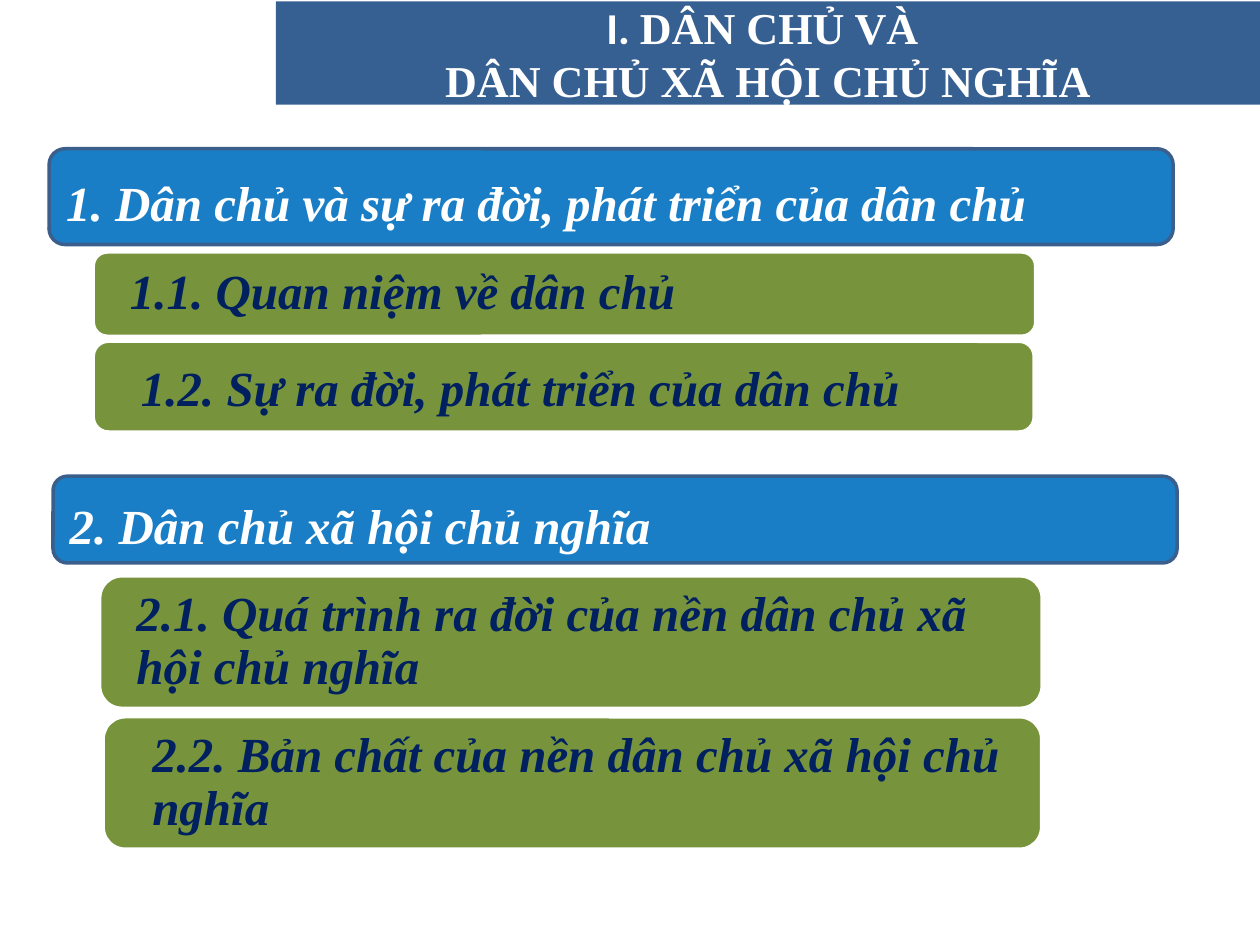
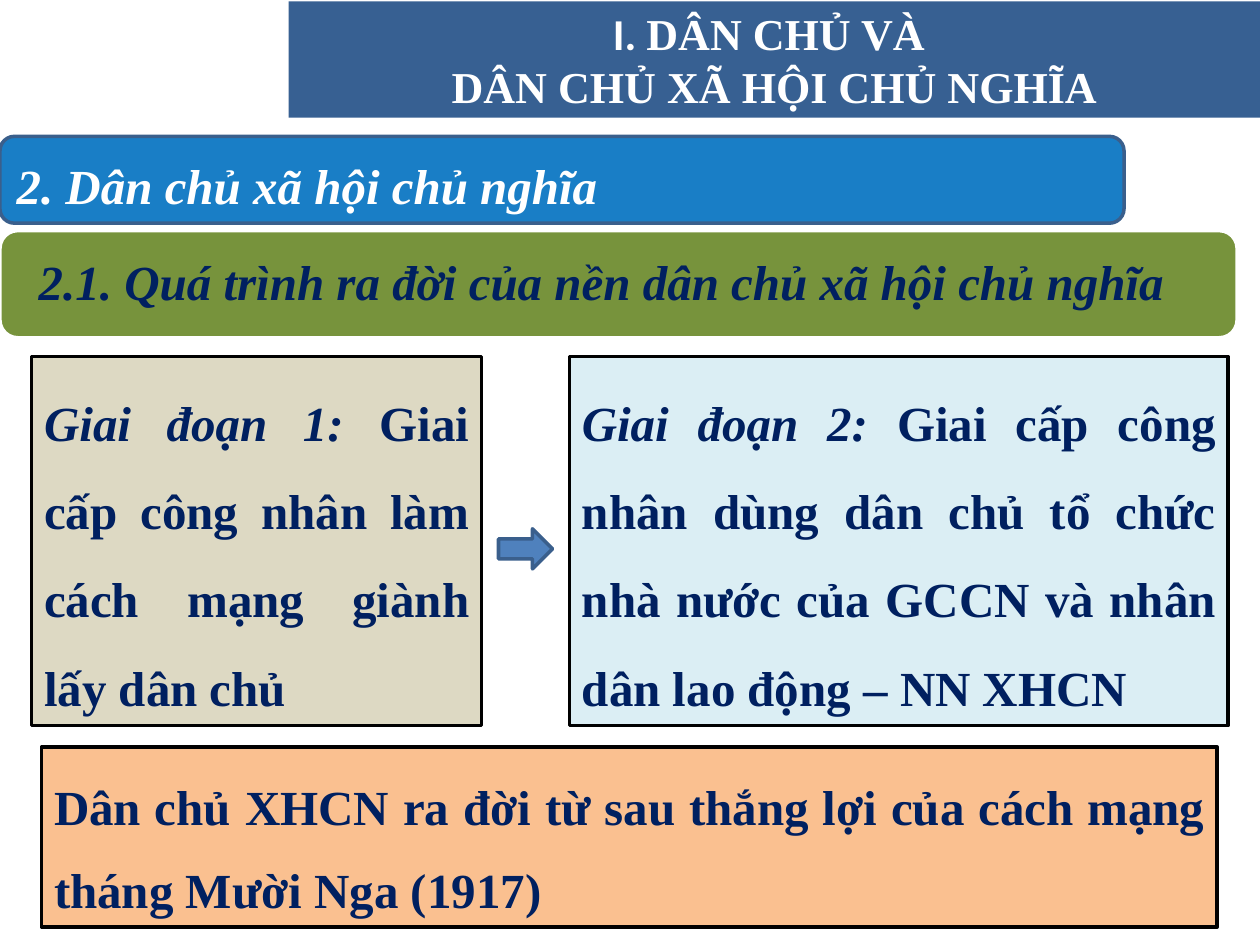
import pptx
import pptx.dml.color
import pptx.enum.shapes
import pptx.enum.text
import pptx.oxml
import pptx.oxml.ns
import pptx.util

Cm = pptx.util.Cm
Pt = pptx.util.Pt
Kind = pptx.enum.shapes.MSO_SHAPE
Align = pptx.enum.text.PP_ALIGN
Anchor = pptx.enum.text.MSO_ANCHOR

# Shared look
SERIF = "Times New Roman"
SANS = "Calibri"
WHITE, BLACK, NAVY = "FFFFFF", "000000", "002060"
BAND, BLUE, GREEN = "376092", "0070C0", "77933C"
ARROW, EDGE = "4F81BD", "3A5F8C"
SAND, ICE, PEACH = "DDD9C3", "DBEEF4", "FAC090"
ROUND = 1 / 6  # corner radius as a share of the height
HEAD = "2. Dân chủ xã hội chủ nghĩa"
BIRTH = "2.1. Quá trình ra đời của nền dân chủ xã hội chủ nghĩa"


def color(code):
    return pptx.dml.color.RGBColor.from_string(code)


def run(para, text, tint, size=28, italic=False, font=SERIF):
    part = para.add_run()
    part.text = text
    part.font.name = font
    part.font.size = Pt(size)
    part.font.bold = True
    part.font.italic = italic
    part.font.color.rgb = color(tint)


def frame(shape, anchor, left=0.25, top=0.13, right=0.25, bottom=0.13):
    text = shape.text_frame
    text.word_wrap = True
    text.auto_size = pptx.enum.text.MSO_AUTO_SIZE.NONE
    text.vertical_anchor = anchor
    text.margin_left, text.margin_top = Cm(left), Cm(top)
    text.margin_right, text.margin_bottom = Cm(right), Cm(bottom)
    return text.paragraphs[0]


def block(slide, kind, area, fill, line):
    shape = slide.shapes.add_shape(kind, *map(Cm, area))
    shape.shadow.inherit = False
    shape.fill.solid()
    shape.fill.fore_color.rgb = color(fill)
    shape.line.color.rgb = color(line)
    shape.line.width = Pt(2)
    return shape


def fade(shape, share):
    """Make a solid fill partly transparent."""
    tint = shape.fill._xPr.find(".//" + pptx.oxml.ns.qn("a:srgbClr"))
    tint.append(pptx.oxml.parse_xml(
        f'<a:alpha {pptx.oxml.ns.nsdecls("a")} val="{share * 1000}"/>'))


def title(slide, area):
    """Band across the top right, in the title placeholder."""
    band = slide.shapes.title
    band.left, band.top, band.width, band.height = map(Cm, area)
    band.fill.solid()
    band.fill.fore_color.rgb = color(BAND)
    para = frame(band, Anchor.MIDDLE)
    para.alignment = Align.CENTER
    run(para, "I. ", WHITE, 25.2, font=SANS)
    run(para, "DÂN CHỦ VÀ ", WHITE, 25.2)
    para.add_line_break()
    run(para, "DÂN CHỦ XÃ HỘI CHỦ NGHĨA", WHITE, 25.2)


def head(slide, left, top, high, text):
    """Blue bar of a main section."""
    bar = block(slide, Kind.ROUNDED_RECTANGLE, (left, top, 22.66, high), BLUE, EDGE)
    bar.adjustments[0] = ROUND
    fade(bar, 90)
    para = frame(bar, Anchor.MIDDLE, top=0.33)
    para.alignment = Align.JUSTIFY
    run(para, text, WHITE, italic=True)


def pill(slide, area, start, text, space=0.9):
    """Green bar of a subsection; its text begins at x = start."""
    bar = block(slide, Kind.ROUNDED_RECTANGLE, area, GREEN, WHITE)
    bar.adjustments[0] = ROUND
    left, _, _, high = area
    curve = 0.29 * ROUND * high  # the round corners push the text in
    para = frame(bar, Anchor.MIDDLE, start - left - curve, 0, 0.38, 0)
    para.alignment = Align.LEFT
    para.line_spacing = space
    run(para, text, NAVY, italic=True)


def card(slide, area, fill, text, lead="", space=1.5):
    """Framed box with an optional italic lead-in."""
    box = block(slide, Kind.RECTANGLE, area, fill, BLACK)
    para = frame(box, Anchor.TOP)
    para.alignment = Align.JUSTIFY
    para.line_spacing = space
    if lead:
        run(para, lead, NAVY, italic=True)
    run(para, text, NAVY)


def plan(slide):
    title(slide, (5.56, 0.03, 19.84, 2.08))
    # First section
    head(slide, 0.99, 3, 1.93, "1. Dân chủ và sự ra đời, phát triển của dân chủ")
    pill(slide, (1.88, 5.08, 19, 1.7), 2.62, "1.1. Quan niệm về dân chủ")
    pill(slide, (1.88, 6.88, 18.97, 1.83), 2.84,
         "1.2. Sự ra đời, phát triển của dân chủ", 1.0)
    # Second section
    head(slide, 1.07, 9.6, 1.75, HEAD)
    pill(slide, (2.01, 11.61, 19, 2.67), 2.75, BIRTH)
    pill(slide, (2.08, 14.45, 18.92, 2.67), 3.07,
         "2.2. Bản chất của nền dân chủ xã hội chủ nghĩa")


def birth(slide):
    title(slide, (5.82, 0.03, 19.58, 2.34))
    head(slide, 0, 2.75, 1.75, HEAD)
    pill(slide, (0, 4.65, 24.94, 2.16), 0.78, BIRTH)
    # Two stages, joined by an arrow
    top, high = 7.19, 7.44
    card(slide, (0.64, top, 9.07, high), SAND,
         " Giai cấp công nhân làm cách mạng giành lấy dân chủ", "Giai đoạn 1:")
    card(slide, (11.48, top, 13.28, high), ICE,
         "Giai cấp công nhân dùng dân chủ tổ chức nhà nước của GCCN "
         "và nhân dân lao động – NN XHCN", "Giai đoạn 2: ")
    block(slide, Kind.RIGHT_ARROW, (10.05, 10.66, 1.09, 0.81), ARROW, EDGE)
    # Outcome, set tighter so that both lines stay inside
    card(slide, (0.84, 15.06, 23.7, 3.63), PEACH,
         "Dân chủ XHCN ra đời từ sau thắng lợi của cách mạng "
         "tháng Mười Nga (1917)", space=1.4)


def main():
    deck = pptx.Presentation()
    deck.slide_width, deck.slide_height = Cm(25.4), Cm(19.05)
    for fill in (plan, birth):
        fill(deck.slides.add_slide(deck.slide_layouts[5]))
    deck.save("out.pptx")


if __name__ == "__main__":
    main()
